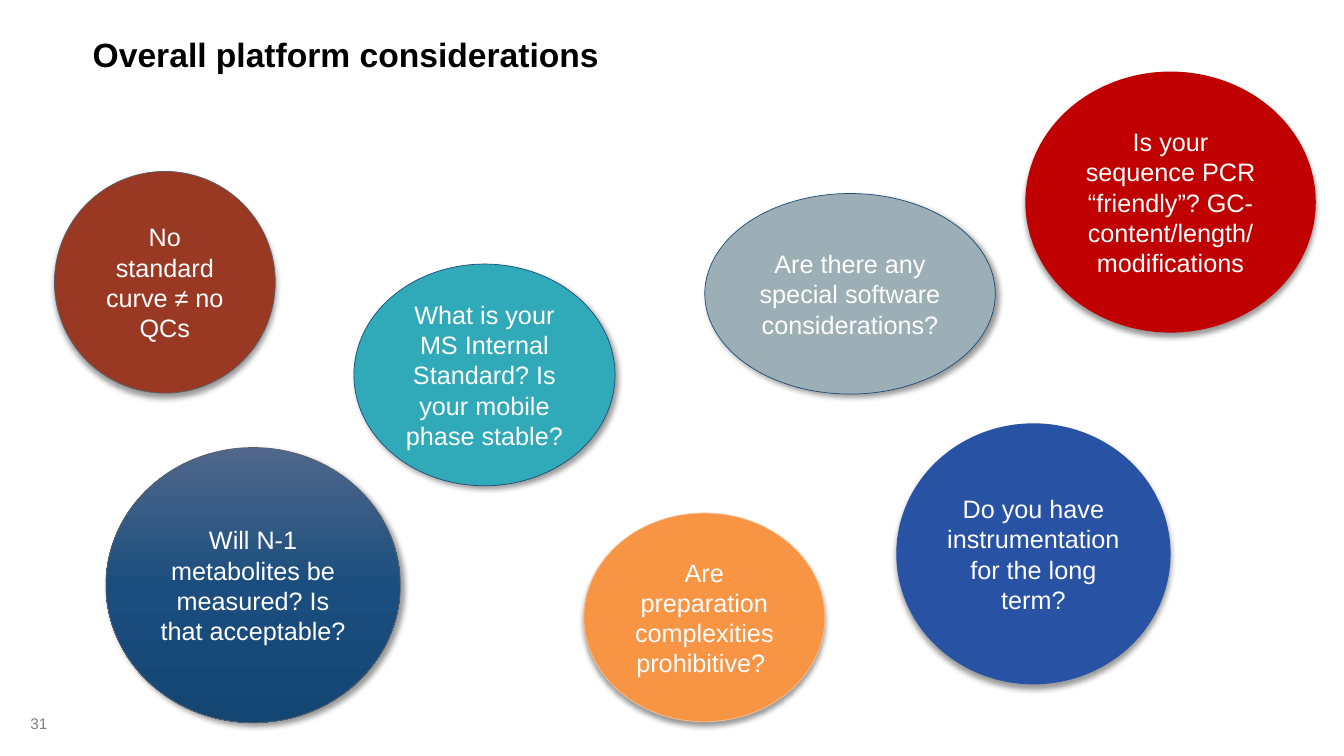
import copy

import pptx
import pptx.dml.color
import pptx.enum.shapes
import pptx.enum.text
import pptx.oxml
import pptx.oxml.ns
import pptx.util

# Content: places are left, top, width, height in percent of the slide
TITLE = ("Overall platform considerations", (6.9, 2.27, 90.4, 9.87))
PAGE_NUMBER = ("31", (0.53, 92.67, 3.75, 6))

# Text, place, fill colours, outline colour, shadow direction in degrees
CONSIDERATIONS = [
    ("No standard curve ≠ no QCs",
     (4.05, 22.67, 16.43, 29.33), ["993924"], "586069", 90),
    ("Will N-1 metabolites be measured? Is that acceptable?",
     (7.88, 59.2, 21.91, 36.4), ["4F678A", "1B4E7E", "144674"], "586069", 45),
    ("What is your MS Internal Standard? Is your mobile phase stable?",
     (26.33, 34.93, 19.43, 29.33), ["30AAB9"], "1F4E79", 45),
    ("Are preparation complexities prohibitive? ",
     (43.44, 67.87, 17.93, 27.6), ["F79545"], "FABF8F", 90),
    ("Are there any special software considerations?",
     (52.44, 25.6, 21.61, 26.53), ["9CAEB6"], "1F4E79", 45),
    ("Do you have instrumentation for the long term?",
     (66.69, 56, 20.41, 34.53), ["2852A4"], None, 90),
    ("Is your sequence PCR “friendly”? GC-content/length/modifications",
     (76.29, 9.47, 21.61, 34.53), ["C00000"], None, 90),
]

FONT = "Arial"
ALIGN = pptx.enum.text.PP_ALIGN

deck = pptx.Presentation()
deck.slide_width = pptx.util.Inches(13.33)
deck.slide_height = pptx.util.Inches(7.5)
slide = deck.slides.add_slide(deck.slide_layouts[5])


def rgb(color):
    return pptx.dml.color.RGBColor.from_string(color)


def box(place):
    sides = (deck.slide_width, deck.slide_height) * 2
    return [round(side * share / 100) for side, share in zip(sides, place)]


def write(holder, text, size=18, color="FFFFFF", bold=False, align=ALIGN.CENTER):
    frame = holder.text_frame
    frame.word_wrap = True
    frame.auto_size = pptx.enum.text.MSO_AUTO_SIZE.NONE
    frame.vertical_anchor = pptx.enum.text.MSO_ANCHOR.MIDDLE
    paragraph = frame.paragraphs[0]
    paragraph.alignment = align
    run = paragraph.add_run()
    run.text = text
    run.font.name = FONT
    run.font.size = pptx.util.Pt(size)
    run.font.bold = bold
    run.font.color.rgb = rgb(color)


def paint(bubble, colors):
    fill = bubble.fill
    if len(colors) == 1:
        fill.solid()
        fill.fore_color.rgb = rgb(colors[0])
        return
    fill.gradient()
    fill.gradient_angle = 270
    stop_list = bubble.element.spPr.find(".//" + pptx.oxml.ns.qn("a:gsLst"))
    while len(stop_list) < len(colors):
        stop_list.append(copy.deepcopy(stop_list[-1]))
    for index, (stop, color) in enumerate(zip(fill.gradient_stops, colors)):
        stop.color.rgb = rgb(color)
        stop.position = index / (len(colors) - 1)


def cast_shadow(bubble, direction):
    bubble.shadow.inherit = False
    effects = bubble.element.spPr.find(pptx.oxml.ns.qn("a:effectLst"))
    effects.append(pptx.oxml.parse_xml(
        f'<a:outerShdw {pptx.oxml.ns.nsdecls("a")} blurRad="{pptx.util.Pt(4)}" '
        f'dist="{pptx.util.Pt(3)}" dir="{direction * 60000}" rotWithShape="0">'
        '<a:srgbClr val="000000"><a:alpha val="40000"/></a:srgbClr>'
        '</a:outerShdw>'))


# Title
title_text, title_place = TITLE
title = slide.shapes.title
title.left, title.top, title.width, title.height = box(title_place)
title.text_frame.margin_left = title.text_frame.margin_right = 0
write(title, title_text, size=24, color="000000", bold=True, align=ALIGN.LEFT)

# Page number
number_text, number_place = PAGE_NUMBER
page_number = slide.shapes.add_textbox(*box(number_place))
write(page_number, number_text, size=11, color="808080", align=ALIGN.RIGHT)

# Bubbles
for question, place, colors, outline, direction in CONSIDERATIONS:
    bubble = slide.shapes.add_shape(
        pptx.enum.shapes.MSO_SHAPE.OVAL, *box(place))
    paint(bubble, colors)
    if outline:
        bubble.line.color.rgb = rgb(outline)
        bubble.line.width = pptx.util.Pt(0.5)
    else:
        bubble.line.fill.background()
    cast_shadow(bubble, direction)
    write(bubble, question)

deck.save("out.pptx")
